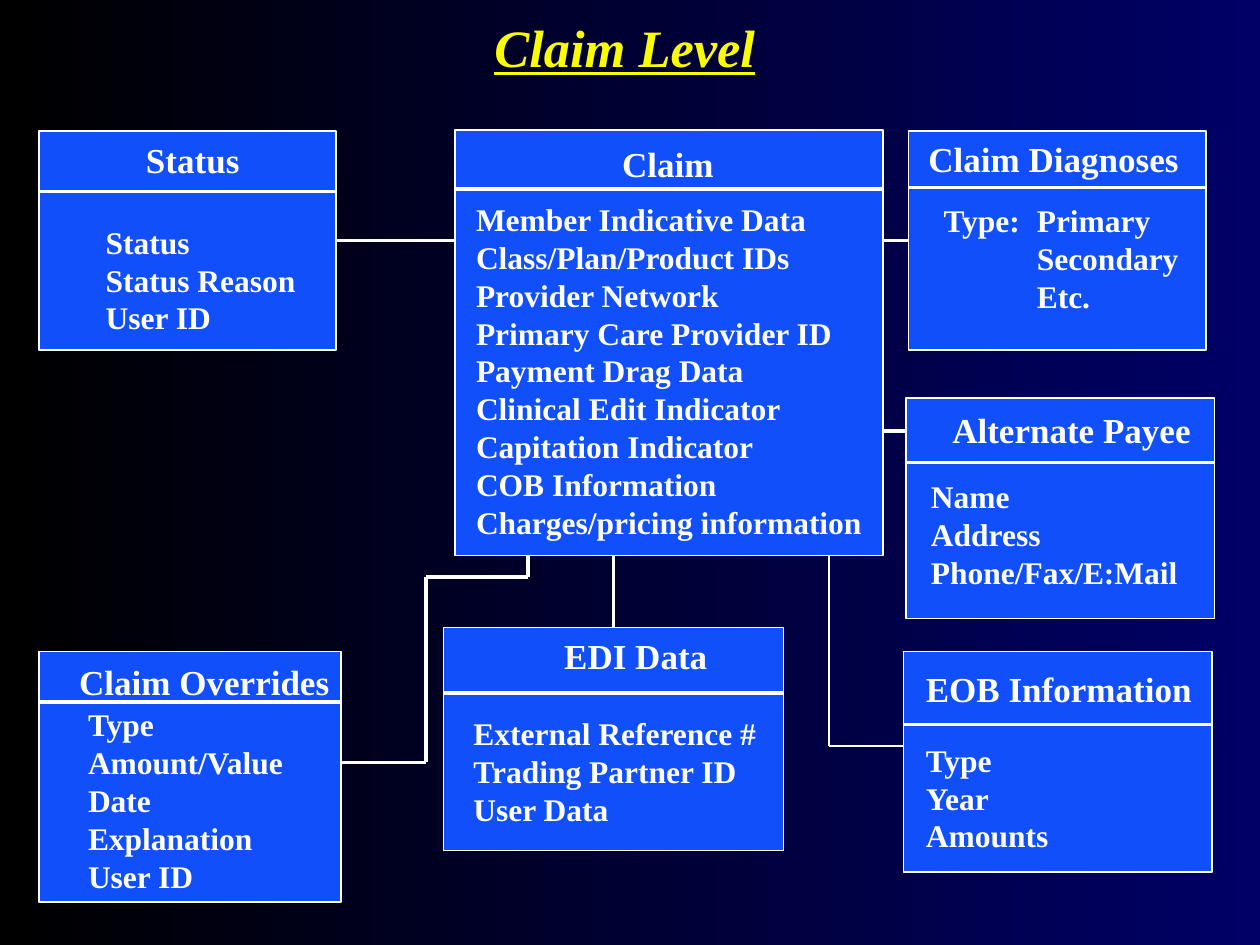
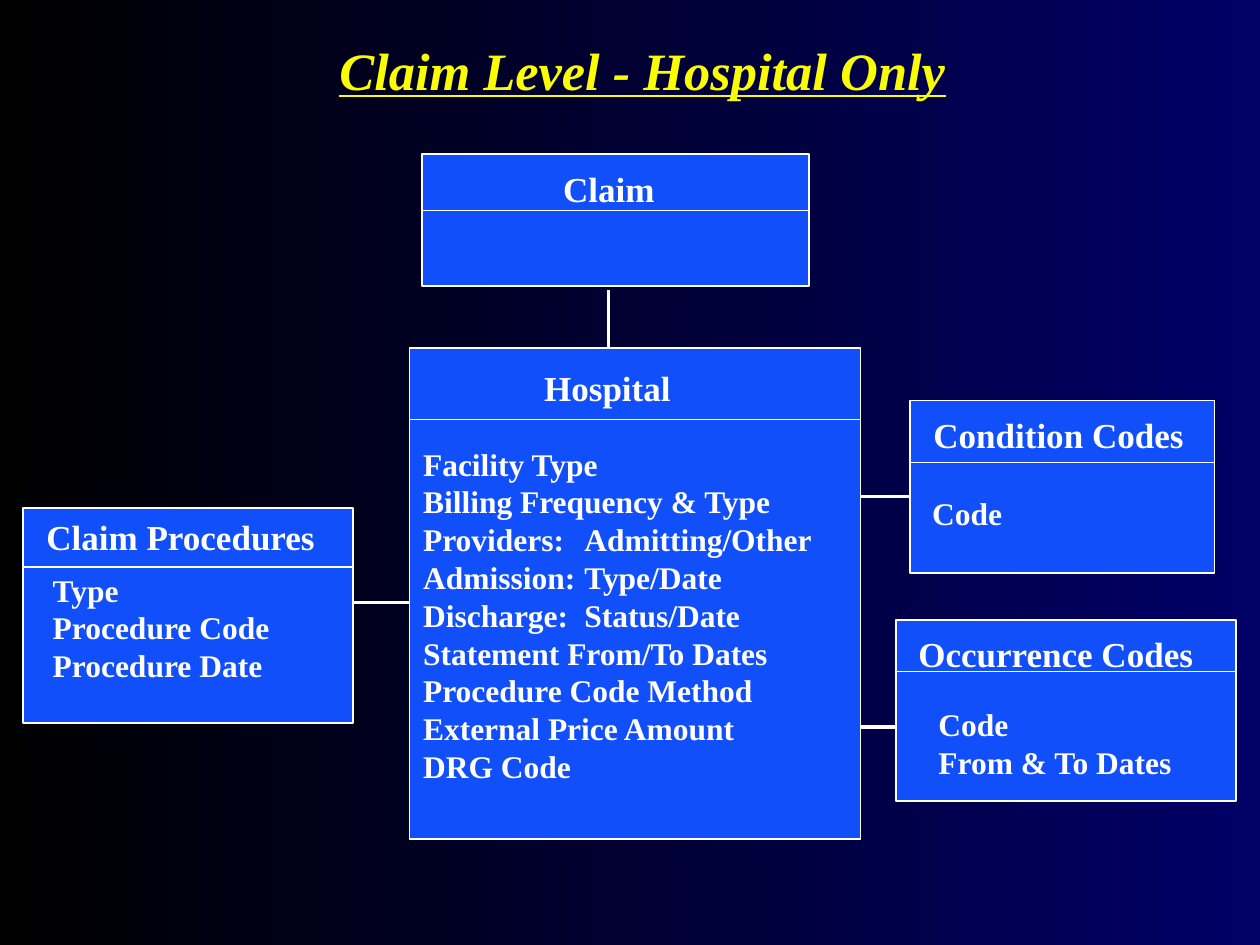
from itertools import pairwise

from lxml.etree import SubElement
from pptx import Presentation
from pptx.dml.color import RGBColor
from pptx.enum.shapes import MSO_CONNECTOR, MSO_SHAPE
from pptx.enum.text import MSO_ANCHOR, MSO_AUTO_SIZE, PP_ALIGN
from pptx.oxml.ns import qn
from pptx.util import Inches, Pt

FONT = "Times New Roman"
WHITE, YELLOW, BLUE = "FFFFFF", "FAFD00", "114FFB"
NAVY, BLACK = "000066", "000000"
COLUMNS, ROWS = 100, 75
TITLE_HEIGHT, HEADING_HEIGHT, ITEM_HEIGHT = 6, 4.3, 3
TOP, LEFT, RIGHT = 0, 1, 3


def grid(units):
    """Length of a number of grid columns or rows, a hundredth of the slide width each."""
    return Inches(10 * units / COLUMNS)


def paint(color_format, hex_color):
    color_format.rgb = RGBColor.from_string(hex_color)


def style_runs(paragraph, size, color, slanted=False):
    for run in paragraph.runs:
        font = run.font
        font.name, font.size, font.bold = FONT, Pt(size), True
        font.italic = font.underline = slanted
        paint(font.color, color)


def add_background(master):
    fill = master.background.fill
    fill.gradient()
    fill.gradient_angle = 180
    for stop, color, position in zip(fill.gradient_stops, (NAVY, BLACK), (0, 1)):
        paint(stop.color, color)
        stop.position = position


def add_titled_slide(deck, title, center, top, width=64):
    slide = deck.slides.add_slide(deck.slide_layouts[5])
    heading = slide.shapes.title
    heading.left, heading.top = grid(center - width / 2), grid(top)
    heading.width, heading.height = grid(width), grid(TITLE_HEIGHT)
    frame = heading.text_frame
    frame.text = title
    frame.auto_size = MSO_AUTO_SIZE.NONE
    frame.vertical_anchor = MSO_ANCHOR.TOP
    frame.paragraphs[0].alignment = PP_ALIGN.CENTER
    style_runs(frame.paragraphs[0], 30, YELLOW, slanted=True)
    return slide


def add_tab_stop(paragraph, position):
    tabs = SubElement(paragraph._p.get_or_add_pPr(), qn("a:tabLst"))
    SubElement(tabs, qn("a:tab"), pos=str(grid(position)), algn="l")


def add_lines(slide, box, lines, size, tab=None):
    frame = slide.shapes.add_textbox(*map(grid, box)).text_frame
    frame.word_wrap = True
    frame.margin_right = 0
    frame.text = "\n".join(lines)
    for paragraph in frame.paragraphs:
        style_runs(paragraph, size, WHITE)
        if tab:
            add_tab_stop(paragraph, tab)


def add_link(slide, points, weight=2, start=None, end=None):
    """Join points by straight lines; start and end are (card, side) pairs."""
    lines = []
    for (x1, y1), (x2, y2) in pairwise(points):
        line = slide.shapes.add_connector(
            MSO_CONNECTOR.STRAIGHT, grid(x1), grid(y1), grid(x2), grid(y2))
        paint(line.line.color, WHITE)
        line.line.width = Pt(weight)
        SubElement(line._element.spPr, qn("a:effectLst"))
        lines.append(line)
    if start:
        lines[0].begin_connect(*start)
    if end:
        lines[-1].end_connect(*end)


def add_card(slide, box, rule, heading, heading_at, items=(), items_at=(0, 0),
             weight=2, tab=None):
    """Draw an entity; rule, heading_at and items_at count from the box's corner."""
    left, top, width, height = box
    card = slide.shapes.add_shape(MSO_SHAPE.RECTANGLE, *map(grid, box))
    card.shadow.inherit = False
    card.fill.solid()
    paint(card.fill.fore_color, BLUE)
    paint(card.line.color, WHITE)
    card.line.width = Pt(1)

    def inner(offset, rows):
        dx, dy = offset
        return left + dx, top + dy, width - dx, rows

    add_lines(slide, inner(heading_at, HEADING_HEIGHT), [heading], 20)
    if items:
        rows = 1 + ITEM_HEIGHT * len(items)
        add_lines(slide, inner(items_at, rows), items, 18, tab)
    add_link(slide, [(left, top + rule), (left + width, top + rule)], weight)
    return card


def build_claim_level(deck):
    slide = add_titled_slide(deck, "Claim Level", center=49.6, top=0.7)
    diagnoses = add_card(
        slide, (72.1, 10.4, 23.6, 17.4), 4.5, "Claim Diagnoses", (0.6, 0),
        ["Type:\tPrimary", "\tSecondary", "\tEtc."], (1.8, 5.1), tab=7.4)
    add_card(
        slide, (71.9, 31.6, 24.5, 17.5), 5.1, "Alternate Payee", (2.7, 0.3),
        ["Name", "Address", "Phone/Fax/E:Mail"], (1, 5.8))
    add_card(
        slide, (36.1, 10.3, 34, 33.8), 4.7, "Claim", (12.3, 0.5),
        ["Member Indicative Data", "Class/Plan/Product IDs", "Provider Network",
         "Primary Care Provider ID", "Payment Drag Data", "Clinical Edit Indicator",
         "Capitation Indicator", "COB Information", "Charges/pricing information"],
        (0.7, 5.1))
    status = add_card(
        slide, (3.1, 10.4, 23.6, 17.4), 4.8, "Status", (7.5, 0.1),
        ["Status", "Status Reason", "User ID"], (4.3, 6.8))
    add_card(
        slide, (3.1, 51.7, 24, 19.9), 4, "Claim Overrides", (2.2, 0.2),
        ["Type", "Amount/Value", "Date", "Explanation", "User ID"], (2.9, 3.8))
    edi = add_card(
        slide, (35.2, 49.8, 27, 17.7), 5.2, "EDI Data", (8.6, 0.1),
        ["External Reference #", "Trading Partner ID", "User Data"], (1.4, 6.4))
    add_card(
        slide, (71.7, 51.7, 24.5, 17.5), 5.8, "EOB Information", (0.8, 0.8),
        ["Type", "Year", "Amounts"], (0.8, 6.6))

    add_link(slide, [(26.7, 19.1), (36.1, 19.1)], start=(status, RIGHT))
    add_link(slide, [(70.1, 19.1), (72.1, 19.1)], end=(diagnoses, LEFT))
    add_link(slide, [(70.1, 34.2), (71.9, 34.2)])
    add_link(slide, [(48.7, 44.1), (48.7, 49.8)], end=(edi, TOP))
    add_link(slide, [(41.9, 44.1), (41.9, 45.8), (33.8, 45.8), (33.8, 60.5), (27.1, 60.5)])
    add_link(slide, [(65.8, 44.1), (65.8, 59.2), (71.7, 59.2)], weight=1)


def build_hospital_only(deck):
    slide = add_titled_slide(deck, "Claim Level - Hospital Only", center=51, top=2.5)
    add_card(slide, (33.5, 12.2, 30.7, 10.5), 4.5, "Claim", (10.2, 0.6), weight=1)
    add_card(
        slide, (32.5, 27.6, 35.8, 39), 5.7, "Hospital", (9.7, 1),
        ["Facility Type", "Billing Frequency & Type", "Providers:\tAdmitting/Other",
         "Admission:\tType/Date", "Discharge:\tStatus/Date", "Statement From/To Dates",
         "Procedure Code Method", "External Price Amount", "DRG Code"],
        (0.1, 7.2), weight=1, tab=12.8)
    add_card(
        slide, (72.2, 31.8, 24.2, 13.7), 4.9, "Condition Codes", (0.9, 0.5),
        ["Code"], (0.8, 6.9), weight=1)
    add_card(
        slide, (71.1, 49.2, 27, 14.4), 4.1, "Occurrence Codes", (0.8, 0.5),
        ["Code", "From & To Dates"], (2.4, 6.3), weight=1)
    add_card(
        slide, (1.8, 40.3, 26.2, 17.1), 4.7, "Claim Procedures", (0.9, 0.1),
        ["Type", "Procedure Code", "Procedure Date"], (1.4, 4.5), weight=1)

    add_link(slide, [(48.3, 23), (48.3, 27.6)])
    add_link(slide, [(28, 47.8), (32.5, 47.8)])
    add_link(slide, [(68.3, 39.4), (72.2, 39.4)])
    add_link(slide, [(68.3, 57.7), (71.1, 57.7)])


def main():
    deck = Presentation()
    deck.slide_width, deck.slide_height = grid(COLUMNS), grid(ROWS)
    add_background(deck.slide_master)
    build_claim_level(deck)
    build_hospital_only(deck)
    deck.save("out.pptx")


if __name__ == "__main__":
    main()
